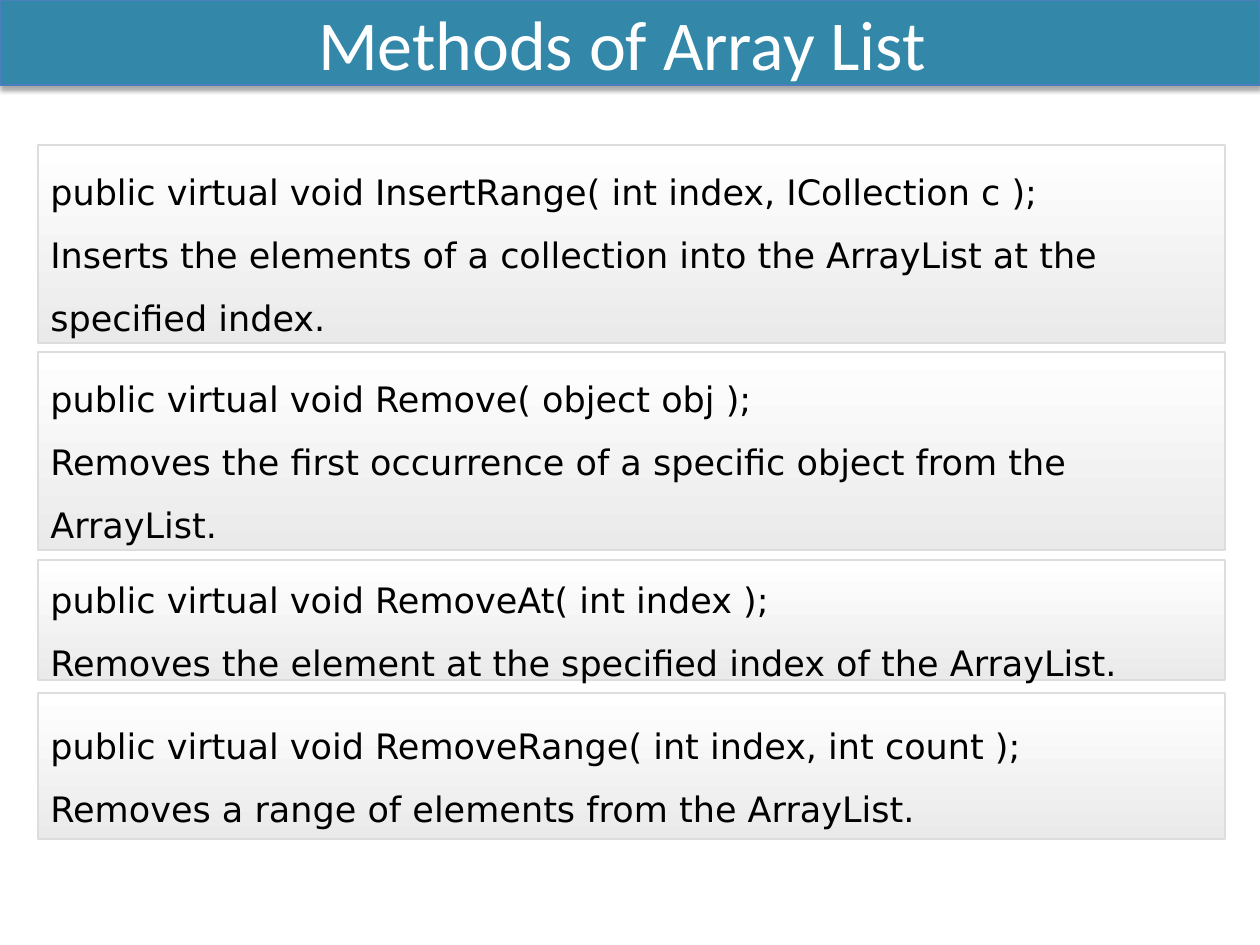
from dataclasses import dataclass

from lxml import etree
from pptx import Presentation
from pptx.dml.color import RGBColor
from pptx.enum.shapes import MSO_SHAPE
from pptx.enum.text import MSO_ANCHOR, MSO_AUTO_SIZE, PP_ALIGN
from pptx.oxml import parse_xml
from pptx.oxml.ns import nsdecls, qn
from pptx.util import Pt

RECT = MSO_SHAPE.RECTANGLE
MIDDLE = MSO_ANCHOR.MIDDLE
NO_FIT = MSO_AUTO_SIZE.NONE
CENTER, LEFT = PP_ALIGN.CENTER, PP_ALIGN.LEFT
PX = 914400 / 126  # EMU in one px


@dataclass(frozen=True)
class Theme:
    title_font: str = "Calibri"
    body_font: str = "DejaVu Sans"
    title_size: int = 40
    body_size: int = 20
    title_text: str = "FFFFFF"
    body_text: str = "000000"
    bar: str = "3388A9"
    bar_line: str = "4B7EBC"
    card_top: str = "FFFFFF"
    card_bottom: str = "EAEAEA"
    card_line: str = "DDDDDD"


THEME = Theme()
TITLE = "Methods of Array List "
CARD_LEFT, CARD_WIDTH = 38, 1187
# top, height, signature, description
METHODS = [
    (145, 198, "public virtual void InsertRange( int index, ICollection c );",
     "Inserts the elements of a collection into the ArrayList at the specified index."),
    (352, 198, "public virtual void Remove( object obj );",
     "Removes the first occurrence of a specific object from the ArrayList."),
    (560, 120, "public virtual void RemoveAt( int index );",
     "Removes the element at the specified index of the ArrayList."),
    (693, 146, "public virtual void RemoveRange( int index, int count );",
     "Removes a range of elements from the ArrayList."),
]


def emu(*lengths):
    return [round(n * PX) for n in lengths]


def rgb(value):
    return RGBColor.from_string(value)


def set_line(s, color, width):
    s.line.color.rgb = rgb(color)
    s.line.width = Pt(width)


def set_font(p, name, size, color):
    p.font.name = name
    p.font.size = Pt(size)
    p.font.color.rgb = rgb(color)


def add_shadow(s):
    effects = parse_xml(f"<a:effectLst {nsdecls('a')}/>")
    shadow = etree.SubElement(effects, qn("a:outerShdw"), blurRad=str(Pt(3.1)),
                              dist=str(Pt(1.8)), dir="5400000", rotWithShape="0")
    color = etree.SubElement(shadow, qn("a:srgbClr"), val="000000")
    etree.SubElement(color, qn("a:alpha"), val="35000")
    s.element.spPr.append(effects)


def title_bar(slide, box, text):
    s = slide.shapes.title
    s.left, s.top, s.width, s.height = emu(*box)
    s.fill.solid()
    s.fill.fore_color.rgb = rgb(THEME.bar)
    set_line(s, THEME.bar_line, 0.75)
    add_shadow(s)
    tf = s.text_frame
    tf.auto_size = NO_FIT
    tf.vertical_anchor = MIDDLE
    p = tf.paragraphs[0]
    p.text = text
    p.alignment = CENTER
    set_font(p, THEME.title_font, THEME.title_size, THEME.title_text)


def method_card(slide, box, signature, description):
    s = slide.shapes.add_shape(RECT, *emu(*box))
    s.shadow.inherit = False
    s.fill.gradient()
    s.fill.gradient_angle = 270  # runs from top to bottom
    for stop, color in zip(s.fill.gradient_stops, (THEME.card_top, THEME.card_bottom)):
        stop.color.rgb = rgb(color)
    set_line(s, THEME.card_line, 1)
    tf = s.text_frame
    tf.word_wrap = True
    tf.vertical_anchor = MIDDLE
    p = tf.paragraphs[0]
    p.alignment = LEFT
    p.line_spacing = 1.5
    set_font(p, THEME.body_font, THEME.body_size, THEME.body_text)
    p.add_run().text = signature
    p.add_line_break()
    p.add_run().text = description


def main():
    prs = Presentation()
    prs.slide_width, prs.slide_height = emu(1260, 945)
    slide = prs.slides.add_slide(prs.slide_layouts[5])  # title only

    # Title across the top
    title_bar(slide, (0, 0, 1260, 85), TITLE)

    # One card for each method
    for top, height, signature, description in METHODS:
        method_card(slide, (CARD_LEFT, top, CARD_WIDTH, height), signature, description)

    prs.save("out.pptx")


if __name__ == "__main__":
    main()
